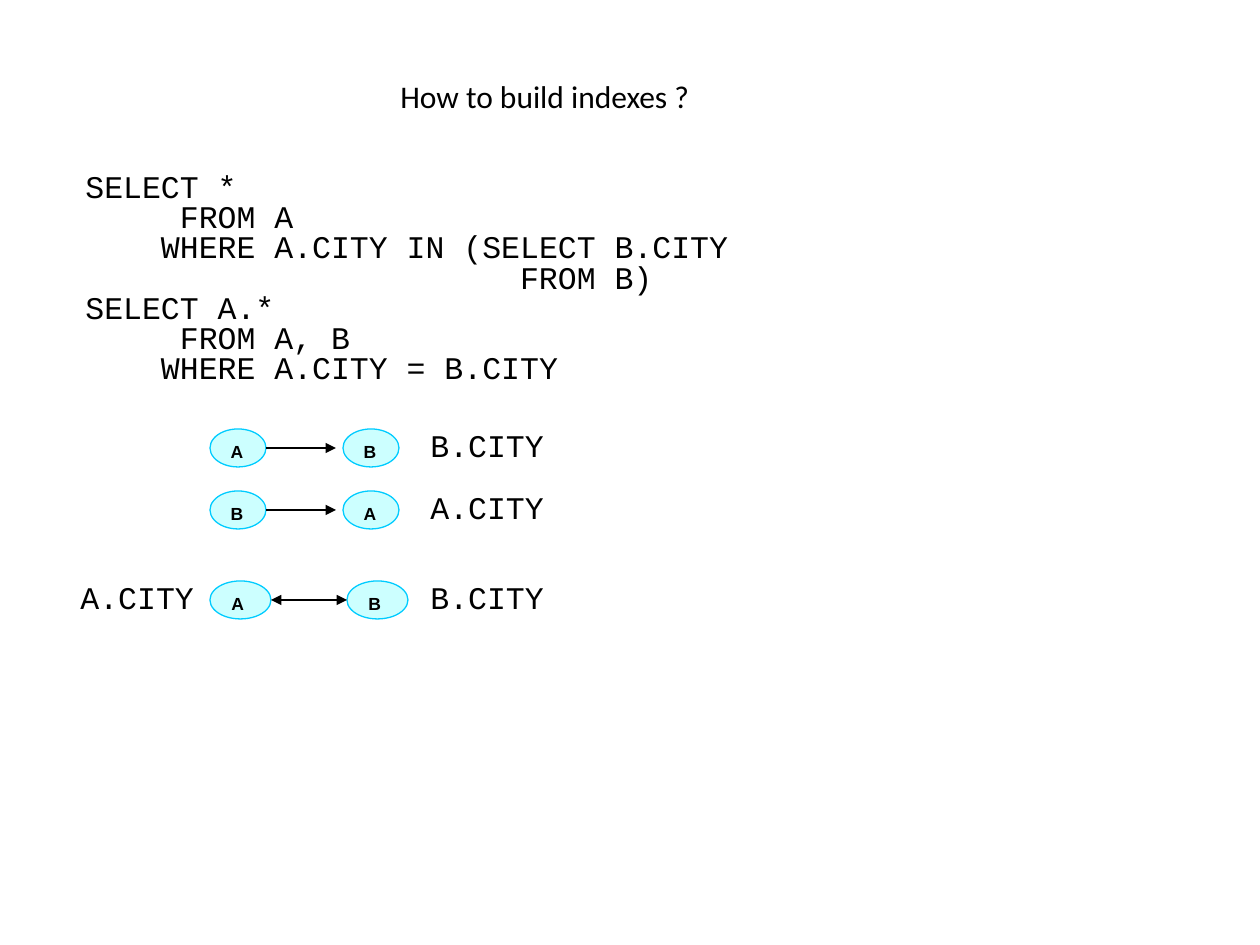
from dataclasses import dataclass

from lxml.etree import SubElement
from pptx import Presentation
from pptx.dml.color import RGBColor as RGB
from pptx.enum.shapes import MSO_CONNECTOR as LINK, MSO_SHAPE as SHAPE
from pptx.enum.text import MSO_ANCHOR as ANCHOR, MSO_AUTO_SIZE as FIT, PP_ALIGN as ALIGN
from pptx.oxml.ns import qn
from pptx.util import Emu, Pt

SCALE = 914400 / 126  # EMU in one px


@dataclass(frozen=True)
class Theme:
    ink: RGB = RGB(0, 0, 0)
    fill: RGB = RGB(0xCC, 0xFF, 0xFF)
    edge: RGB = RGB(0, 0xCC, 0xFF)
    head: str = "Calibri"
    code: str = "Courier New"
    node: str = "Arial"
    big: int = 18
    small: int = 10
    line: float = 0.75
    tight: float = 0.8


T = Theme()
CHAR = T.big * 0.6 * 12700  # width of one code letter in EMU

# Each code line: letters of indent, text
QUERY = [
    (0, "SELECT *"),
    (5, "FROM A"),
    (4, "WHERE A.CITY IN (SELECT B.CITY"),
    (23, "FROM B)"),
    (0, "SELECT A.*"),
    (5, "FROM A, B"),
    (4, "WHERE A.CITY = B.CITY"),
]


def px(n):
    return Emu(round(n * SCALE))


def write(frame, lines, font=T.code, size=T.big, bold=False, space=None):
    for i, (indent, text) in enumerate(lines):
        para = frame.paragraphs[0] if i == 0 else frame.add_paragraph()
        para.alignment = ALIGN.LEFT
        if space:
            para.line_spacing = space
        if indent:
            para._p.get_or_add_pPr().set("marL", str(round(indent * CHAR)))
        run = para.add_run()
        run.text = text
        run.font.name, run.font.size, run.font.bold = font, Pt(size), bold
        run.font.color.rgb = T.ink


def add_text(shapes, lines, x, y, w, h, wrap=False, **style):
    frame = shapes.add_textbox(px(x), px(y), px(w), px(h)).text_frame
    frame.word_wrap = wrap
    frame.auto_size = FIT.SHAPE_TO_FIT_TEXT
    write(frame, lines, **style)


def add_node(shapes, name, x, y, w, h):
    node = shapes.add_shape(SHAPE.OVAL, px(x), px(y), px(w), px(h))
    node.shadow.inherit = False
    node.fill.solid()
    node.fill.fore_color.rgb = T.fill
    node.line.color.rgb = T.edge
    node.line.width = Pt(T.line)
    node.text_frame.vertical_anchor = ANCHOR.TOP
    write(node.text_frame, [(0, name)], font=T.node, size=T.small, bold=True)


def add_arrow(shapes, start, end, y, both=False):
    link = shapes.add_connector(LINK.STRAIGHT, px(start), px(y), px(end), px(y))
    link.line.color.rgb = T.ink
    link.line.width = Pt(T.line)
    ends = ("headEnd", "tailEnd") if both else ("tailEnd",)
    for tag in ends:
        SubElement(link.line._get_or_add_ln(), qn(f"a:{tag}"), type="triangle")
    SubElement(link._element.spPr, qn("a:effectLst"))


def add_join(slide, y, left, right, wide=56, gap=77, both=False):
    """Two nodes, the arrow between them and the index beside them."""
    shapes = slide.shapes.add_group_shape().shapes
    x, high = 210, 38
    far = x + wide + gap
    for name, at in ((left, x), (right, far)):
        add_node(shapes, name, at, y, wide, high)
    add_arrow(shapes, x + wide, far if both else far - 7, y + high / 2, both)
    labels = [(right, 418)] + ([(left, 68)] if both else [])
    for name, at in labels:
        add_text(shapes, [(0, f"{name}.CITY")], at, y - 2, 160 if both else 146, 43,
                 space=T.tight)


def main():
    deck = Presentation()
    deck.slide_width, deck.slide_height = px(1260), px(945)
    slide = deck.slides.add_slide(deck.slide_layouts[6])

    # Title and queries
    add_text(slide.shapes, [(0, "How to build indexes ?")], 388, 71, 318, 50, font=T.head)
    add_text(slide.shapes, QUERY, 73, 168, 882, 227, wrap=True, space=T.tight)

    # Join orders
    add_join(slide, 491, "B", "A")
    add_join(slide, 429, "A", "B")
    add_join(slide, 581, "A", "B", wide=61, gap=76, both=True)

    deck.save("out.pptx")


if __name__ == "__main__":
    main()
